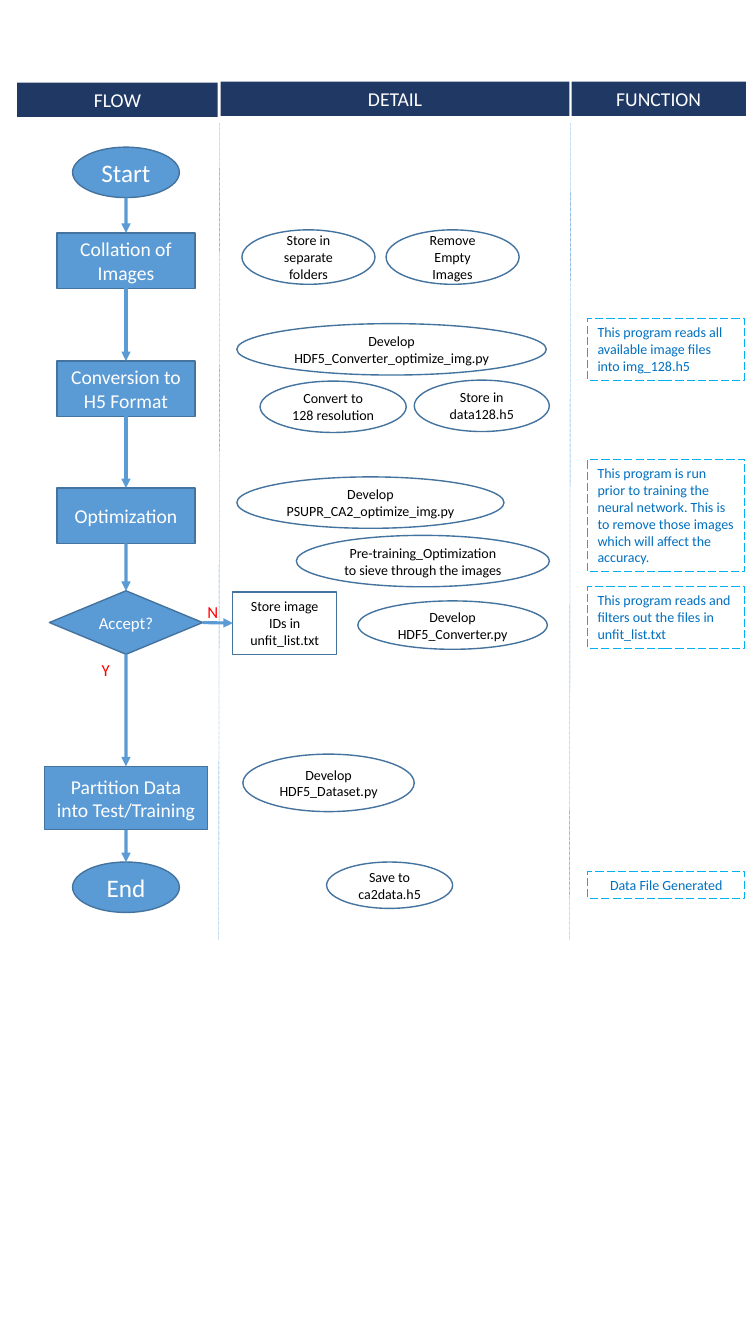
from dataclasses import dataclass, replace
from typing import NamedTuple, Optional

from pptx import Presentation
from pptx.dml.color import RGBColor
from pptx.enum import dml, shapes, text
from pptx.oxml import ns, xmlchemy
from pptx.util import Inches, Pt

RECT = shapes.MSO_SHAPE.RECTANGLE
OVAL = shapes.MSO_SHAPE.OVAL
DIAMOND = shapes.MSO_SHAPE.DIAMOND
CENTER, LEFT = text.PP_ALIGN.CENTER, text.PP_ALIGN.LEFT
TOP, MIDDLE = text.MSO_ANCHOR.TOP, text.MSO_ANCHOR.MIDDLE

BLUE = "5B9BD5"
FLOW_X = 1.25
NOTE_LEFT, NOTE_WIDTH = 5.83, 1.56
DIVIDER_TOP, DIVIDER_BOTTOM = 1.22, 9.32


@dataclass(frozen=True)
class Style:
    size: float
    color: str
    fill: Optional[str] = None
    line: Optional[str] = None
    line_width: float = 1
    dashed: bool = False
    align: text.PP_ALIGN = CENTER
    anchor: text.MSO_ANCHOR = MIDDLE


class Box(NamedTuple):
    label: str
    left: float
    top: float
    width: float
    height: float
    preset: shapes.MSO_SHAPE = OVAL


class Step(NamedTuple):
    label: str
    top: float
    width: float
    height: float
    preset: shapes.MSO_SHAPE = RECT
    size: float = 14


class Note(NamedTuple):
    label: str
    top: float
    height: float
    align: text.PP_ALIGN = LEFT


STEP = Style(14, "FFFFFF", BLUE, "43739E")
DETAIL = Style(10, "000000", line="43739E")
NOTE = Style(10, "0070C0", line="00B0F0", line_width=0.75, dashed=True, anchor=TOP)
HEADER = Style(14, "FFFFFF", "203864", anchor=TOP)
BRANCH = Style(12, "FF0000", align=LEFT, anchor=TOP)

HEADERS = [
    Box("FLOW", 0.17, 0.82, 1.99, 0.34, RECT),
    Box("DETAIL", 2.19, 0.81, 3.46, 0.34, RECT),
    Box("FUNCTION", 5.67, 0.81, 1.73, 0.34, RECT),
]
STEPS = [
    Step("Start", 1.46, 1.06, 0.5, OVAL, 18),
    Step("Collation of Images", 2.31, 1.37, 0.55),
    Step("Conversion to H5 Format", 3.58, 1.37, 0.55),
    Step("Optimization", 4.84, 1.37, 0.55),
    Step("Accept?", 5.86, 1.52, 0.63, DIAMOND, 12),
    Step("Partition Data into Test/Training", 7.6, 1.62, 0.63),
    Step("End", 8.55, 1.06, 0.5, OVAL, 18),
]
DETAILS = [
    Box("Store in separate folders", 2.4, 2.28, 1.32, 0.54),
    Box("Remove Empty Images", 3.83, 2.28, 1.32, 0.54),
    Box("Develop HDF5_Converter_optimize_img.py", 2.35, 3.21, 3.07, 0.51),
    Box("Convert to 128 resolution", 2.58, 3.78, 1.45, 0.51),
    Box("Store in data128.h5", 4.11, 3.77, 1.34, 0.51),
    Box("Develop PSUPR_CA2_optimize_img.py", 2.35, 4.73, 2.65, 0.51),
    Box("Pre-training_Optimization to sieve through the images", 2.94, 5.31, 2.51, 0.51),
    Box("Develop HDF5_Converter.py", 3.55, 5.96, 1.88, 0.48),
    Box("Develop HDF5_Dataset.py", 2.41, 7.48, 1.7, 0.57),
    Box("Save to ca2data.h5", 3.24, 8.55, 1.25, 0.46),
]
UNFIT_LIST = Box("Store image IDs in unfit_list.txt", 2.31, 5.87, 1.03, 0.62, RECT)
NOTES = [
    Note("This program reads all available image files into img_128.h5", 3.16, 0.61),
    Note("This program is run prior to training the neural network. This is to remove "
         "those images which will affect the accuracy.", 4.56, 1.11),
    Note("This program reads and filters out the files in unfit_list.txt", 5.82, 0.61),
    Note("Data File Generated", 8.64, 0.27, CENTER),
]
BRANCHES = [
    Box("N", 1.96, 5.92, 0.23, 0.3, RECT),
    Box("Y", 0.91, 6.49, 0.23, 0.3, RECT),
]


def rgb(value: str) -> RGBColor:
    return RGBColor.from_string(value)


def add_box(s, box: Box, style: Style):
    sp = s.shapes.add_shape(box.preset, *map(Inches, box[1:5]))
    sp.shadow.inherit = False
    if style.fill:
        sp.fill.solid()
        sp.fill.fore_color.rgb = rgb(style.fill)
    else:
        sp.fill.background()
    if style.line:
        sp.line.color.rgb = rgb(style.line)
        sp.line.width = Pt(style.line_width)
        if style.dashed:
            sp.line.dash_style = dml.MSO_LINE.LONG_DASH
    else:
        sp.line.fill.background()
    tf = sp.text_frame
    tf.text = box.label
    tf.word_wrap = True
    tf.vertical_anchor = style.anchor
    if style.anchor == TOP:
        tf.auto_size = text.MSO_AUTO_SIZE.SHAPE_TO_FIT_TEXT
    p = tf.paragraphs[0]
    p.alignment = style.align
    font = p.runs[0].font
    font.name, font.size = "Calibri", Pt(style.size)
    font.color.rgb = rgb(style.color)
    return sp


def add_line(s, x1: float, y1: float, x2: float, y2: float, width: float):
    line = s.shapes.add_connector(
        shapes.MSO_CONNECTOR.STRAIGHT, *map(Inches, (x1, y1, x2, y2)))
    line.line.color.rgb = rgb(BLUE)
    line.line.width = Pt(width)
    line._element.spPr.append(xmlchemy.OxmlElement("a:effectLst"))
    return line


def add_arrow(s, x1: float, y1: float, x2: float, y2: float):
    arrow = add_line(s, x1, y1, x2, y2, 2.25)
    tail = xmlchemy.OxmlElement("a:tailEnd")
    tail.set("type", "triangle")
    arrow._element.spPr.find(ns.qn("a:ln")).append(tail)
    return arrow


def add_flow(s) -> list:
    """Draw the centred steps with an arrow between each two, and return them."""
    drawn = []
    for step in STEPS:
        box = Box(step.label, FLOW_X - step.width / 2, step.top,
                  step.width, step.height, step.preset)
        drawn.append(add_box(s, box, replace(STEP, size=step.size)))
    for i, (upper, lower) in enumerate(zip(STEPS, STEPS[1:])):
        arrow = add_arrow(s, FLOW_X, upper.top + upper.height, FLOW_X, lower.top)
        if upper.preset != OVAL:  # site 2 of an oval is not its bottom
            arrow.begin_connect(drawn[i], 2)
        arrow.end_connect(drawn[i + 1], 0)
    return drawn


def main() -> None:
    prs = Presentation()
    prs.slide_width, prs.slide_height = Inches(7.5), Inches(13.33)
    s = prs.slides.add_slide(prs.slide_layouts[6])

    accept = add_flow(s)[4]
    for detail in DETAILS:
        add_box(s, detail, DETAIL)
    unfit = add_box(s, UNFIT_LIST, DETAIL)
    reject = add_arrow(s, 2.01, 6.18, 2.31, 6.18)
    reject.begin_connect(accept, 3)
    reject.end_connect(unfit, 1)
    for branch in BRANCHES:
        add_box(s, branch, BRANCH)
    for note in NOTES:
        box = Box(note.label, NOTE_LEFT, note.top, NOTE_WIDTH, note.height, RECT)
        add_box(s, box, replace(NOTE, align=note.align))
    for x in (2.18, 5.66):
        divider = add_line(s, x, DIVIDER_TOP, x - 0.01, DIVIDER_BOTTOM, 0.25)
        divider.line.dash_style = dml.MSO_LINE.ROUND_DOT
    for header in HEADERS:
        add_box(s, header, HEADER)

    prs.save("out.pptx")


if __name__ == "__main__":
    main()
